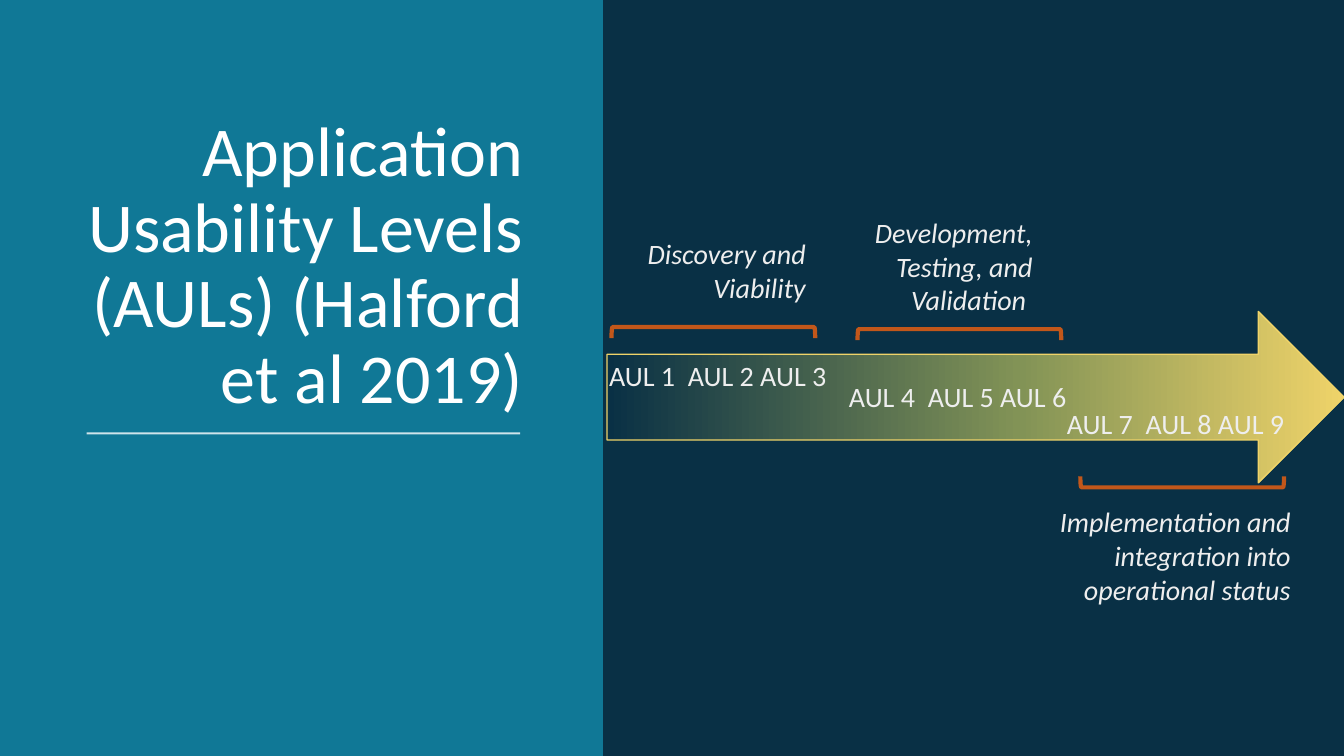
from copy import deepcopy

from pptx import Presentation, util as u
from pptx.dml.color import RGBColor
from pptx.enum import shapes, text
from pptx.oxml.ns import qn
from lxml import etree

COLORS = {
    "navy": "093045",
    "teal": "107896",
    "olive": "829356",
    "gold": "EFD369",
    "rust": "C2571A",
    "white": "FFFFFF",
    "pale": "EEEEEE",
}
ALIGN = text.PP_ALIGN
SHAPE = shapes.MSO_SHAPE
WORD_GAP = 4.5


def color(name):
    return RGBColor.from_string(COLORS[name])


def write(para, content, size=20, name="pale", italic=False, tracking=0):
    span = para.add_run()
    span.text = content
    span.font.name = "Calibri"
    span.font.size = u.Pt(size)
    span.font.italic = italic
    span.font.color.rgb = color(name)
    if tracking:
        span._r.get_or_add_rPr().set("spc", str(int(tracking * 100)))


class SlideBuilder:
    def __init__(self, slide):
        self.slide = slide
        slide.background.fill.solid()
        slide.background.fill.fore_color.rgb = color("navy")

    def shape(self, kind, area, fill=None, line=None, weight=1, rotation=0):
        shape = self.slide.shapes.add_shape(kind, *map(u.Inches, area))
        shape.shadow.inherit = False
        shape.rotation = rotation
        if fill:
            shape.fill.solid()
            shape.fill.fore_color.rgb = color(fill)
        else:
            shape.fill.background()
        if line:
            shape.line.color.rgb = color(line)
            shape.line.width = u.Pt(weight)
        else:
            shape.line.fill.background()
        return shape

    def gradient_arrow(self, area, stops):
        arrow = self.shape(SHAPE.RIGHT_ARROW, area, line="gold")
        arrow.fill.gradient()
        arrow.fill.gradient_angle = 0
        stop_list = arrow._element.spPr.find(".//" + qn("a:gsLst"))
        stop_list.insert(1, deepcopy(stop_list[0]))
        for stop, (position, name) in zip(arrow.fill.gradient_stops, stops):
            stop.position = position
            stop.color.rgb = color(name)

    def text_box(self, area, align=ALIGN.RIGHT, grow=True):
        box = self.slide.shapes.add_textbox(*map(u.Inches, area))
        frame = box.text_frame
        frame.word_wrap = True
        if grow:
            frame.auto_size = text.MSO_AUTO_SIZE.SHAPE_TO_FIT_TEXT
        frame.paragraphs[0].alignment = align
        return frame

    def title(self, area, content):
        frame = self.text_box(area, grow=False)
        frame.vertical_anchor = text.MSO_ANCHOR.BOTTOM
        para = frame.paragraphs[0]
        para.line_spacing = 0.9
        para.space_after = u.Pt(6)
        write(para, content, size=50, name="white")

    def rule(self, left, right, top):
        ends = map(u.Inches, (left, top, right, top))
        rule = self.slide.shapes.add_connector(shapes.MSO_CONNECTOR.STRAIGHT, *ends)
        rule.line.color.rgb = color("white")
        rule.line.width = u.Pt(1.5)
        tint = rule._element.spPr.find(".//" + qn("a:srgbClr"))
        etree.SubElement(tint, qn("a:alpha"), val="80000")
        etree.SubElement(rule._element.spPr, qn("a:effectLst"))

    def levels(self, left, top, first):
        frame = self.text_box((left, top, 2.77, 0.44), ALIGN.CENTER)
        frame.margin_right = u.Inches(0.23)
        para = frame.paragraphs[0]
        write(para, f"AUL {first}")
        write(para, " ", tracking=WORD_GAP)
        write(para, f"AUL {first + 1} AUL {first + 2}")

    def stage(self, area, content):
        write(self.text_box(area).paragraphs[0], content, italic=True)

    def bracket(self, left, top, rotation):
        self.shape(SHAPE.LEFT_BRACKET, (left, top, 0.11, 2.02),
                   line="rust", weight=3, rotation=rotation)


def main():
    deck = Presentation()
    deck.slide_width, deck.slide_height = u.Inches(13.33), u.Inches(7.5)
    page = SlideBuilder(deck.slides.add_slide(deck.slide_layouts[6]))

    page.shape(SHAPE.RECTANGLE, (0, 0, 5.98, 7.5), fill="teal")
    page.title((0.69, 0.88, 4.6, 3.32),
               "Application Usability Levels (AULs) (Halford et al 2019)")
    page.rule(0.86, 5.16, 4.3)
    page.gradient_arrow((6.02, 3.09, 7.31, 1.7),
                        [(0, "navy"), (0.56, "olive"), (1, "gold")])

    for left, top, first in [(5.8, 3.51, 1), (8.18, 3.72, 4), (10.34, 3.98, 7)]:
        page.levels(left, top, first)

    stages = [
        ((6.3, 2.3, 1.79, 0.77), "Discovery and Viability"),
        ((8.3, 2.09, 2.04, 1.11), "Development, Testing, and Validation "),
        ((10.14, 4.96, 2.76, 1.11),
         "Implementation and integration into operational status"),
    ]
    for area, content in stages:
        page.stage(area, content)

    for left, top, rotation in [(7.02, 2.29, 90), (9.46, 2.31, 90), (11.67, 3.77, 270)]:
        page.bracket(left, top, rotation)

    deck.save("out.pptx")


if __name__ == "__main__":
    main()
